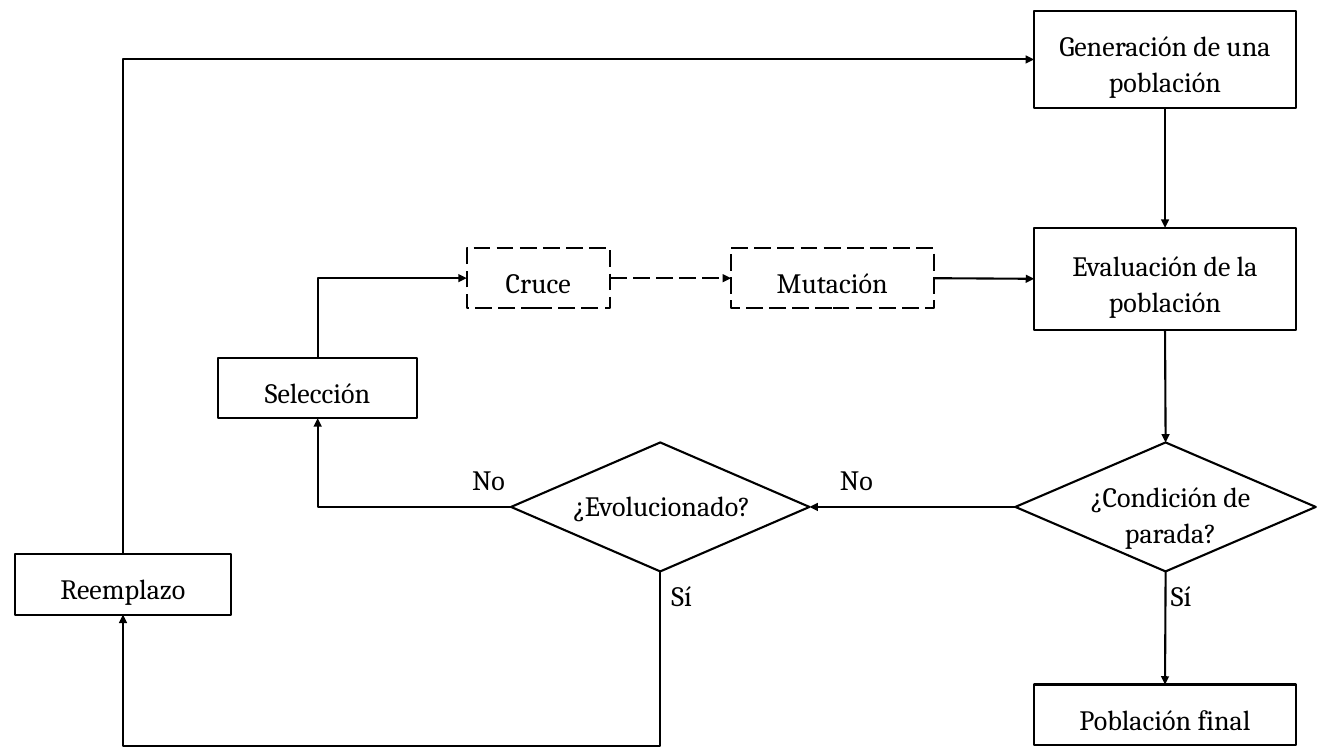
from dataclasses import dataclass
from enum import IntEnum

from lxml.etree import SubElement
from pptx import Presentation
from pptx.dml.color import RGBColor
from pptx.enum.dml import MSO_LINE
from pptx.enum.shapes import MSO_CONNECTOR, MSO_SHAPE
from pptx.enum.text import MSO_ANCHOR, PP_ALIGN
from pptx.oxml.ns import qn
from pptx.shapes.autoshape import Shape
from pptx.shapes.connector import Connector
from pptx.shapes.shapetree import SlideShapes
from pptx.text.text import TextFrame
from pptx.util import Cm, Pt

BLACK = RGBColor(0x00, 0x00, 0x00)
FONT = "Cambria"
TEXT_SIZE = Pt(20)
LINE_WIDTH = Pt(1.5)
LOOP_BOTTOM = Cm(18.8)


class Side(IntEnum):
    TOP = 0
    LEFT = 1
    BOTTOM = 2
    RIGHT = 3


class Route(IntEnum):
    STRAIGHT = 0
    VERTICAL_FIRST = 1
    HORIZONTAL_FIRST = 2
    LOOP_BELOW = 3


@dataclass(frozen=True)
class Step:
    key: str
    left: float
    top: float
    width: float
    height: float
    text: str = ""
    kind: MSO_SHAPE = MSO_SHAPE.RECTANGLE
    dashed: bool = False


@dataclass(frozen=True)
class Label:
    text: str
    left: float
    top: float
    width: float
    height: float
    align: PP_ALIGN = PP_ALIGN.CENTER


@dataclass(frozen=True)
class Flow:
    start: str
    start_side: Side
    end: str
    end_side: Side
    route: Route = Route.STRAIGHT
    dashed: bool = False


DECISION = MSO_SHAPE.FLOWCHART_DECISION

STEPS = [
    Step("generation", 26.06, 0.28, 6.6, 2.44, "Generación de una población"),
    Step("evaluation", 26.06, 5.74, 6.6, 2.57, "Evaluación de la población"),
    Step("stop", 25.59, 11.15, 7.57, 3.25, kind=DECISION),
    Step("final", 26.06, 17.25, 6.6, 1.52, "Población final"),
    Step("evolved", 12.88, 11.15, 7.52, 3.25, kind=DECISION),
    Step("replacement", 0.38, 13.97, 5.44, 1.52, "Reemplazo"),
    Step("selection", 5.49, 9.02, 5.03, 1.52, "Selección"),
    Step("crossover", 11.76, 6.25, 3.61, 1.52, "Cruce", dashed=True),
    Step("mutation", 18.42, 6.25, 5.11, 1.52, "Mutación", dashed=True),
]

LABELS = [
    Label("¿Condición de parada?", 26.87, 11.89, 5.26, 2.69),
    Label("¿Evolucionado?", 13.41, 12.12, 6.53, 1.78),
    Label("No", 19.79, 11.48, 3.58, 2.13),
    Label("No", 10.52, 11.48, 3.58, 2.13),
    Label("Sí", 15.39, 14.4, 3.58, 2.13),
    Label("Sí", 29.26, 14.4, 2.57, 2.13, PP_ALIGN.LEFT),
]

FLOWS = [
    Flow("generation", Side.BOTTOM, "evaluation", Side.TOP),
    Flow("evaluation", Side.BOTTOM, "stop", Side.TOP),
    Flow("stop", Side.BOTTOM, "final", Side.TOP),
    Flow("stop", Side.LEFT, "evolved", Side.RIGHT),
    Flow("crossover", Side.RIGHT, "mutation", Side.LEFT, dashed=True),
    Flow("mutation", Side.RIGHT, "evaluation", Side.LEFT),
    Flow("evolved", Side.LEFT, "selection", Side.BOTTOM, Route.HORIZONTAL_FIRST),
    Flow("selection", Side.TOP, "crossover", Side.LEFT, Route.VERTICAL_FIRST),
    Flow("replacement", Side.TOP, "generation", Side.LEFT, Route.VERTICAL_FIRST),
    Flow("evolved", Side.BOTTOM, "replacement", Side.BOTTOM, Route.LOOP_BELOW),
]


def write_text(frame: TextFrame, text: str, align: PP_ALIGN = PP_ALIGN.CENTER) -> None:
    frame.word_wrap = True
    frame.text = text
    paragraph = frame.paragraphs[0]
    paragraph.alignment = align
    paragraph.line_spacing = 1.07
    font = paragraph.runs[0].font
    font.name = FONT
    font.size = TEXT_SIZE
    font.color.rgb = BLACK


def style_line(drawn: Shape | Connector, dashed: bool) -> None:
    drawn.line.color.rgb = BLACK
    drawn.line.width = LINE_WIDTH
    if dashed:
        drawn.line.dash_style = MSO_LINE.LONG_DASH


def draw_step(shapes: SlideShapes, step: Step) -> Shape:
    box = shapes.add_shape(
        step.kind, Cm(step.left), Cm(step.top), Cm(step.width), Cm(step.height)
    )
    box.shadow.inherit = False
    box.fill.background()
    style_line(box, step.dashed)
    if step.text:
        box.text_frame.vertical_anchor = MSO_ANCHOR.MIDDLE
        box.text_frame.margin_top = Cm(0.28)
        write_text(box.text_frame, step.text)
    return box


def draw_label(shapes: SlideShapes, label: Label) -> None:
    caption = shapes.add_textbox(
        Cm(label.left), Cm(label.top), Cm(label.width), Cm(label.height)
    )
    write_text(caption.text_frame, label.text, label.align)


def bend(arrow: Connector, route: Route) -> None:
    start_x, start_y = arrow.begin_x, arrow.begin_y
    end_x, end_y = arrow.end_x, arrow.end_y
    across, down = abs(end_x - start_x), abs(end_y - start_y)
    turned = route != Route.HORIZONTAL_FIRST
    width, height = (down, across) if turned else (across, down)
    arrow.left = (start_x + end_x - width) // 2
    arrow.top = (start_y + end_y - height) // 2
    arrow.width, arrow.height = width, height

    properties = arrow._element.spPr
    frame = properties.find(qn("a:xfrm"))
    frame.set("rot", str((90 if turned else 180) * 60000))
    flipped = "1" if route == Route.VERTICAL_FIRST else "0"
    frame.set("flipH", flipped)
    frame.set("flipV", flipped)

    geometry = properties.find(qn("a:prstGeom"))
    if route == Route.LOOP_BELOW:
        reach = round((LOOP_BOTTOM - start_y) / down * 100000)
        guides = geometry.find(qn("a:avLst"))
        SubElement(guides, qn("a:gd"), name="adj1", fmla=f"val {reach}")
    else:
        geometry.set("prst", "bentConnector2")


def draw_flow(shapes: SlideShapes, boxes: dict[str, Shape], flow: Flow) -> None:
    straight = flow.route == Route.STRAIGHT
    kind = MSO_CONNECTOR.STRAIGHT if straight else MSO_CONNECTOR.ELBOW
    arrow = shapes.add_connector(kind, 0, 0, 0, 0)
    arrow.begin_connect(boxes[flow.start], flow.start_side)
    arrow.end_connect(boxes[flow.end], flow.end_side)
    if not straight:
        bend(arrow, flow.route)
    style_line(arrow, flow.dashed)
    SubElement(arrow.line._get_or_add_ln(), qn("a:tailEnd"), type="triangle")
    SubElement(arrow._element.spPr, qn("a:effectLst"))


def main() -> None:
    presentation = Presentation()
    presentation.slide_width = Cm(33.87)
    presentation.slide_height = Cm(19.05)
    shapes = presentation.slides.add_slide(presentation.slide_layouts[6]).shapes
    boxes = {step.key: draw_step(shapes, step) for step in STEPS}
    for flow in FLOWS:
        draw_flow(shapes, boxes, flow)
    for label in LABELS:
        draw_label(shapes, label)
    presentation.save("out.pptx")


if __name__ == "__main__":
    main()
